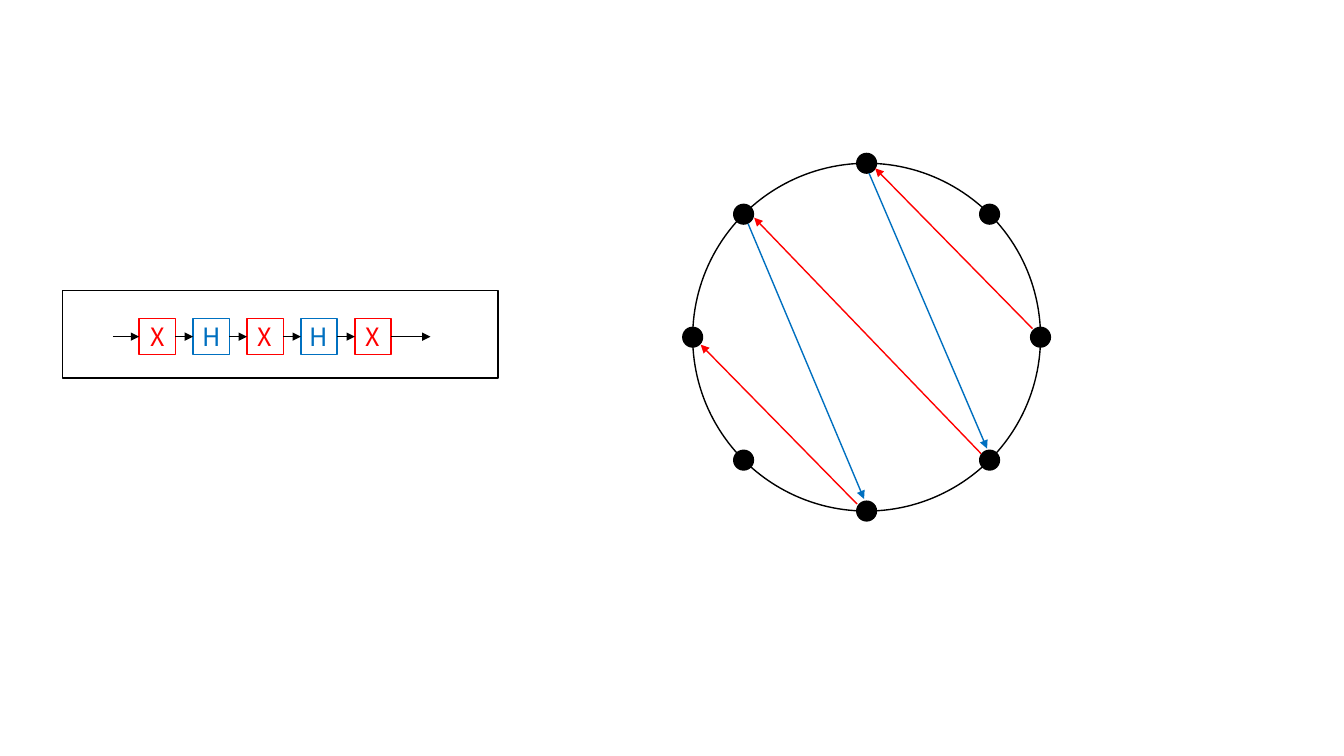
import math
from dataclasses import dataclass
from itertools import pairwise

from lxml import etree
from pptx import Presentation, util as u
from pptx.dml import color
from pptx.enum import shapes, text
from pptx.oxml import ns

BLACK, RED, BLUE = "000000", "FF0000", "0070C0"
GATE_COLORS = {"X": RED, "H": BLUE}
GATE_SIZE, GATE_PITCH = 0.36, 0.535
GATE_LEFT, WIRE_Y = 1.38, 3.34
WIRE_START, WIRE_END = 1.12, 4.27
CENTER_X, CENTER_Y, RADIUS = 8.595, 3.345, 1.725
STATE_COUNT, DOT_SIZE = 8, 0.21


@dataclass(frozen=True)
class Step:
    """One gate and the arrow it draws across the circle."""
    gate: str
    start: tuple[float, float]
    tip: tuple[float, float]


STEPS = [
    Step("X", (10.24, 3.26), (8.68, 1.67)),
    Step("H", (8.62, 1.72), (9.79, 4.45)),
    Step("X", (9.73, 4.5), (7.48, 2.16)),
    Step("H", (7.42, 2.22), (8.57, 4.95)),
    Step("X", (8.5, 5), (6.95, 3.42)),
]


def rgb(value: str) -> color.RGBColor:
    return color.RGBColor.from_string(value)


def add_outline(page, kind, left: float, top: float, width: float, height: float,
                line: str | None = None, fill: str | None = None):
    """Add a preset shape; a missing line or fill is left transparent."""
    shape = page.shapes.add_shape(kind, *map(u.Inches, (left, top, width, height)))
    shape.shadow.inherit = False
    if fill:
        shape.fill.solid()
        shape.fill.fore_color.rgb = rgb(fill)
    else:
        shape.fill.background()
    if line:
        shape.line.color.rgb = rgb(line)
        shape.line.width = u.Pt(1)
    else:
        shape.line.fill.background()
    return shape


def add_gate(page, left: float, label: str):
    tint = GATE_COLORS[label]
    box = add_outline(page, shapes.MSO_SHAPE.RECTANGLE, left, WIRE_Y - GATE_SIZE / 2,
                      GATE_SIZE, GATE_SIZE, line=tint)
    frame = box.text_frame
    layout = {"margin_left": 0, "margin_right": 0, "margin_top": 0, "margin_bottom": 0,
              "vertical_anchor": text.MSO_ANCHOR.MIDDLE}
    for name, value in layout.items():
        setattr(frame, name, value)
    para = frame.paragraphs[0]
    para.alignment = text.PP_ALIGN.CENTER
    span = para.add_run()
    span.text = label
    for name, value in {"name": "Noto Sans CJK SC", "size": u.Pt(18)}.items():
        setattr(span.font, name, value)
    span.font.color.rgb = rgb(tint)
    return box


def add_arrow(page, start: tuple[float, float], tip: tuple[float, float],
              tint: str, width: float):
    arrow = page.shapes.add_connector(shapes.MSO_CONNECTOR.STRAIGHT,
                                      *map(u.Inches, (*start, *tip)))
    arrow.line.color.rgb = rgb(tint)
    arrow.line.width = u.Pt(width)
    properties = arrow.element.spPr
    etree.SubElement(properties.find(ns.qn("a:ln")), ns.qn("a:tailEnd"), type="triangle")
    etree.SubElement(properties, ns.qn("a:effectLst"))
    return arrow


def draw_circuit(page) -> None:
    gates = [add_gate(page, GATE_LEFT + index * GATE_PITCH, step.gate)
             for index, step in enumerate(STEPS)]
    for source, target in pairwise([None, *gates, None]):
        wire = add_arrow(page, (WIRE_START, WIRE_Y), (WIRE_END, WIRE_Y), BLACK, 0.5)
        if source:
            wire.begin_connect(source, 3)
        if target:
            wire.end_connect(target, 1)
    add_outline(page, shapes.MSO_SHAPE.RECTANGLE, 0.62, 2.88, 4.32, 0.87, line=BLACK)


def draw_state_circle(page) -> None:
    disc = shapes.MSO_SHAPE.FLOWCHART_CONNECTOR
    add_outline(page, disc, CENTER_X - RADIUS, CENTER_Y - RADIUS,
                2 * RADIUS, 2 * RADIUS, line=BLACK)
    for index in range(STATE_COUNT):
        angle = 2 * math.pi * index / STATE_COUNT
        add_outline(page, disc,
                    CENTER_X + RADIUS * math.cos(angle) - DOT_SIZE / 2,
                    CENTER_Y + RADIUS * math.sin(angle) - DOT_SIZE / 2,
                    DOT_SIZE, DOT_SIZE, fill=BLACK)
    for step in STEPS:
        add_arrow(page, step.start, step.tip, GATE_COLORS[step.gate], 1)


def main() -> None:
    deck = Presentation()
    deck.slide_width, deck.slide_height = u.Inches(13.33), u.Inches(7.5)
    page = deck.slides.add_slide(deck.slide_layouts[6])
    draw_circuit(page)
    draw_state_circle(page)
    deck.save("out.pptx")


if __name__ == "__main__":
    main()
